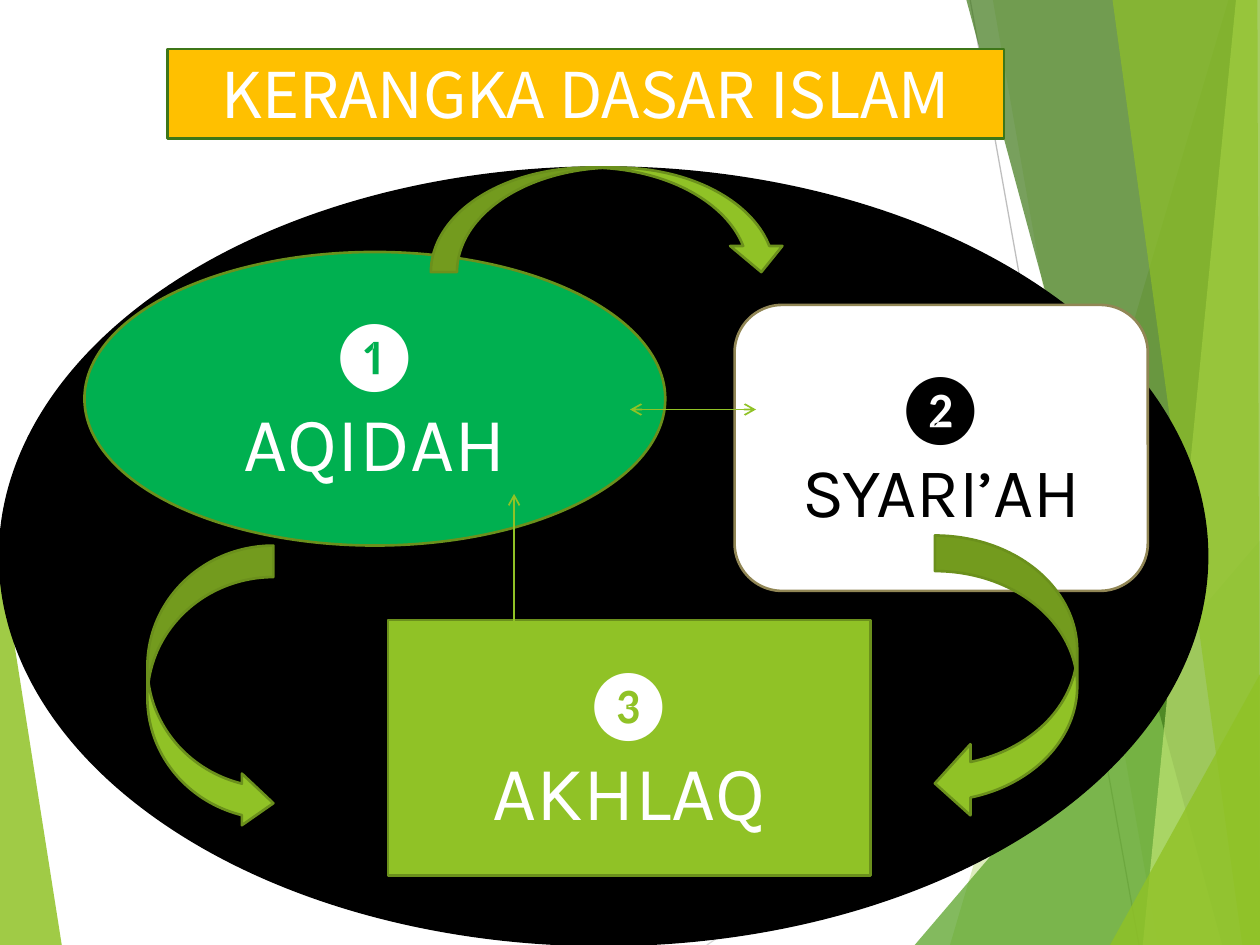
from lxml import etree
from pptx import Presentation
from pptx.dml.color import RGBColor
from pptx.enum.shapes import MSO_CONNECTOR as Connector, MSO_SHAPE as Shape
from pptx.enum.text import MSO_ANCHOR as Anchor, MSO_AUTO_SIZE as AutoSize, PP_ALIGN as Align
from pptx.oxml.ns import qn
from pptx.util import Inches, Pt

GREEN, OLIVE, WHITE, BLACK = "90C226", "6B901C", "FFFFFF", "000000"
HANGING = Inches(0.56)

# Fill, opacity in percent, corner points
FACETS_BEHIND = [(GREEN, 85, [(0, 4.39), (0.49, 7.5), (0, 7.5)])]
FACETS = [
    (GREEN, 30, [(9.75, 0), (7.54, 7.5), (10, 7.5), (10, 0)]),
    (GREEN, 20, [(7.88, 0), (9.19, 7.5), (10, 7.5), (10, 0)]),
    ("54A021", 72, [(7.26, 7.5), (10, 4.29), (10, 7.5)]),
    ("3F7819", 70, [(7.67, 0), (9.7, 7.5), (10, 7.5), (10, 0)]),
    ("C0E474", 70, [(9.81, 0), (9.07, 7.5), (10, 7.5), (10, 0)]),
    (GREEN, 65, [(8.83, 0), (9.86, 7.5), (10, 7.5), (9.98, 0)]),
    (GREEN, 80, [(8.81, 7.5), (10, 5.35), (10, 7.5)]),
]
BACKGROUND_LINES = [((5.61, 7.5), (10, 4.57), "D9D9D9"), ((7.7, 0), (9.04, 7.5), "BFBFBF")]

# Preset, box, fill, outline, text colour, number, label, label size
PILLARS = [
    (Shape.OVAL, (0.67, 2, 4.61, 2.33), "00B050", OLIVE, WHITE, "❶", "AQIDAH", 44),
    (Shape.ROUNDED_RECTANGLE, (5.83, 2.42, 3.28, 2.27), WHITE, "918655", BLACK, "❷", "SYARI’AH", 40),
    (Shape.RECTANGLE, (3.08, 4.92, 3.83, 2.03), GREEN, OLIVE, WHITE, "❸", "AKHLAQ", 44),
]
CURVED_ARROWS = [
    (Shape.CURVED_DOWN_ARROW, (3.42, 1.33, 2.83, 0.83), 0.5),
    (Shape.CURVED_LEFT_ARROW, (7.42, 4.25, 1.13, 2.25), 0.5),
    (Shape.CURVED_RIGHT_ARROW, (1.17, 4.33, 1, 2.25), 0.41),
]
DOUBLE_ARROWS = [((5, 3.25), (6, 3.25)), ((4.08, 3.92), (4.08, 5.08))]


def color(value):
    return RGBColor.from_string(value)


def paint(shape, fill):
    shape.shadow.inherit = False
    shape.fill.solid()
    shape.fill.fore_color.rgb = color(fill)


def add_facet(slide, fill, opacity, points):
    builder = slide.shapes.build_freeform(*map(Inches, points[0]), scale=1.0)
    builder.add_line_segments([tuple(map(Inches, point)) for point in points[1:]], close=True)
    facet = builder.convert_to_shape()
    paint(facet, fill)
    facet.line.fill.background()
    fill_color = facet.fill._xPr.find(qn("a:solidFill"))[0]
    etree.SubElement(fill_color, qn("a:alpha"), val=str(opacity * 1000))


def add_line(slide, start, end, line_color, width, arrows=False):
    line = slide.shapes.add_connector(Connector.STRAIGHT, *map(Inches, (*start, *end)))
    line.line.color.rgb = color(line_color)
    line.line.width = Pt(width)
    if arrows:
        outline = line.line._get_or_add_ln()
        for tag in ("a:headEnd", "a:tailEnd"):
            etree.SubElement(outline, qn(tag), type="arrow")
    etree.SubElement(line._element.spPr, qn("a:effectLst"))


def add_shape(slide, preset, box, fill, outline):
    shape = slide.shapes.add_shape(preset, *map(Inches, box))
    paint(shape, fill)
    shape.line.color.rgb = color(outline)
    shape.line.width = Pt(1.5)
    return shape


def write(paragraph, text, text_color, **font_format):
    paragraph.alignment = Align.CENTER
    run = paragraph.add_run()
    run.text = text
    run.font.color.rgb = color(text_color)
    for name, value in font_format.items():
        setattr(run.font, name, value)


def add_title(slide, text):
    shape = add_shape(slide, Shape.RECTANGLE, (1.33, 0.39, 6.64, 0.71), "FFC000", "3E7618")
    frame_format = {"word_wrap": True, "vertical_anchor": Anchor.TOP, "auto_size": AutoSize.SHAPE_TO_FIT_TEXT}
    for name, value in frame_format.items():
        setattr(shape.text_frame, name, value)
    write(shape.text_frame.paragraphs[0], text, WHITE, name="Noto Sans CJK KR", size=Pt(36))


def add_pillar(slide, preset, box, fill, outline, text_color, number, label, label_size):
    frame = add_shape(slide, preset, box, fill, outline).text_frame
    frame.word_wrap = True
    frame.vertical_anchor = Anchor.MIDDLE
    lines = [(number, "Calibri", 40), (label, "Karla", label_size)]
    for paragraph, (text, font, size) in zip((frame.paragraphs[0], frame.add_paragraph()), lines):
        properties = paragraph._p.get_or_add_pPr()
        properties.set("marL", str(HANGING))
        properties.set("indent", str(-HANGING))
        write(paragraph, text, text_color, name=font, size=Pt(size))


def add_curved_arrow(slide, preset, box, bend):
    arrow = add_shape(slide, preset, box, GREEN, OLIVE)
    arrow.adjustments[1] = bend


def main():
    presentation = Presentation()
    presentation.slide_width, presentation.slide_height = Inches(10), Inches(7.5)
    slide = presentation.slides.add_slide(presentation.slide_layouts[6])

    for facet in FACETS_BEHIND:
        add_facet(slide, *facet)
    for start, end, line_color in BACKGROUND_LINES:
        add_line(slide, start, end, line_color, 0.75)
    for facet in FACETS:
        add_facet(slide, *facet)

    add_shape(slide, Shape.OVAL, (0, 1.33, 9.58, 6.17), BLACK, BLACK)
    add_title(slide, "KERANGKA DASAR ISLAM")
    for pillar in PILLARS:
        add_pillar(slide, *pillar)
    for arrow in CURVED_ARROWS:
        add_curved_arrow(slide, *arrow)
    for start, end in DOUBLE_ARROWS:
        add_line(slide, start, end, GREEN, 1, arrows=True)

    presentation.save("out.pptx")


if __name__ == "__main__":
    main()
